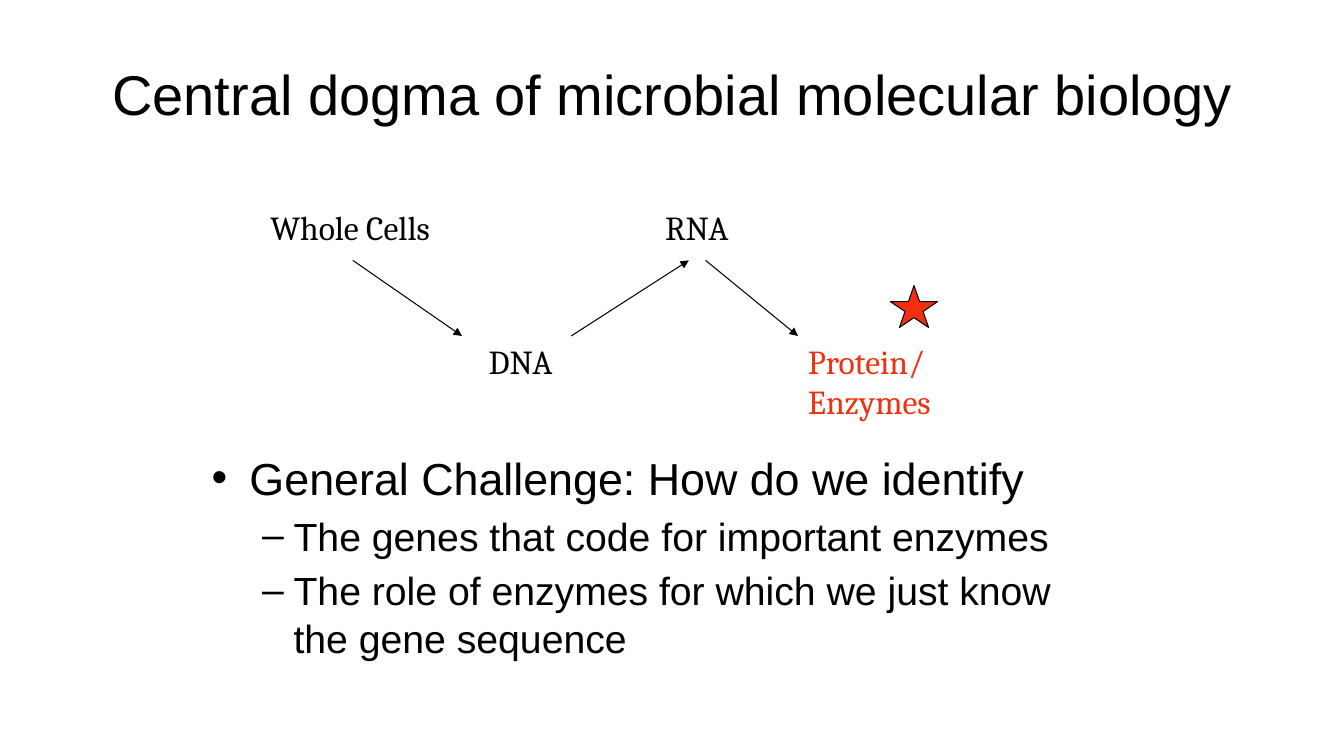
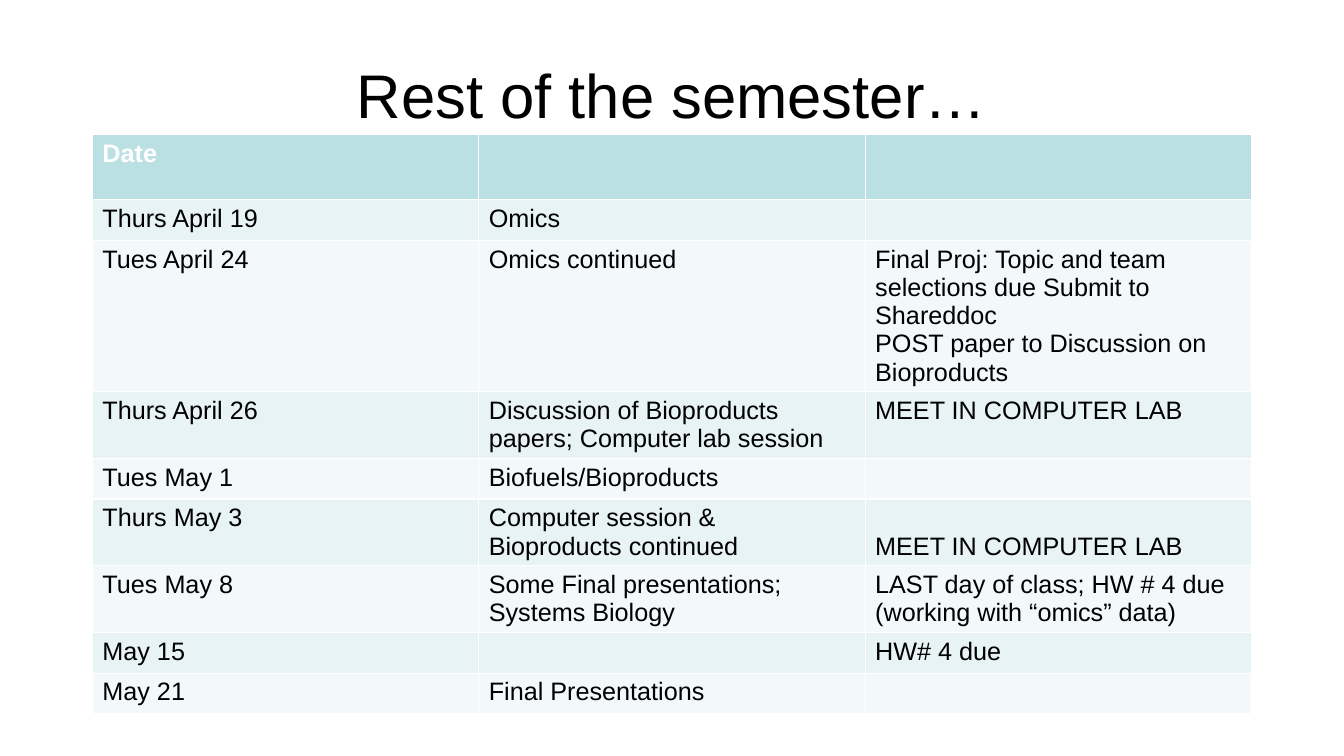
from dataclasses import dataclass

from lxml import etree
from pptx import Presentation
from pptx import util as u
from pptx.dml.color import RGBColor
from pptx.enum import shapes, text
from pptx.oxml import ns


@dataclass(frozen=True)
class Theme:
    """Colours, fonts and type sizes shared by the slides."""

    ink: str = "000000"
    paper: str = "FFFFFF"
    accent: str = "F23010"
    header: str = "BBE0E3"
    bands: tuple = ("E7F3F4", "F3F9FA")
    sans: str = "Arial"
    serif: str = "Cambria"
    title: int = 44
    long_title: int = 40
    bullets: tuple = (32, 28)
    label: int = 24
    cell: int = 18
    hairline: float = 0.75


THEME = Theme()
TITLE_BOX = (64, 29, 1152, 120)
DIAGRAM_BOX = (248, 192, 752, 200)
BULLET_BOX = (192, 424, 864, 280)
TABLE_BOX = (88, 128, 1104, 374)

BULLETS = [
    (0, "General Challenge: How do we identify"),
    (1, "The genes that code for important enzymes"),
    (1, "The role of enzymes for which we just know the gene sequence"),
]
SCHEDULE = [
    ("Date", "", ""),
    ("Thurs April 19", "Omics", ""),
    ("Tues April 24", "Omics continued",
     "Final Proj: Topic and team selections due Submit to Shareddoc\n"
     "POST paper to Discussion on Bioproducts"),
    ("Thurs April 26", "Discussion of Bioproducts papers; Computer lab session",
     "MEET IN COMPUTER LAB"),
    ("Tues May 1", "Biofuels/Bioproducts", ""),
    ("Thurs May 3", "Computer session & Bioproducts continued", "MEET IN COMPUTER LAB"),
    ("Tues May 8", "Some Final presentations; Systems Biology",
     "LAST day of class; HW # 4 due (working with “omics” data)"),
    ("May 15", "", "HW# 4 due"),
    ("May 21", "Final Presentations", ""),
]
LOW_CELL = (5, 2)


def px(n):
    """Turn pixels at 96 to the inch into EMU."""
    return u.Emu(n * 9525)


def rgb(value):
    """Make a colour from its hex value."""
    return RGBColor.from_string(value)


def move(sp, box):
    """Place a shape in a box of pixels."""
    sp.left, sp.top, sp.width, sp.height = map(px, box)


def write(p, content, size=THEME.cell, font=THEME.sans, color=THEME.ink, bold=False):
    """Add a formatted run to a paragraph."""
    r = p.add_run()
    r.text = content
    r.font.size, r.font.name, r.font.bold = u.Pt(size), font, bold
    r.font.color.rgb = rgb(color)


def add_title(slide, content, size=THEME.title):
    """Fill the title placeholder."""
    sp = slide.shapes.title
    move(sp, TITLE_BOX)
    tf = sp.text_frame
    tf.auto_size = text.MSO_AUTO_SIZE.NONE
    tf.vertical_anchor = text.MSO_ANCHOR.MIDDLE
    tf.paragraphs[0].alignment = text.PP_ALIGN.CENTER
    write(tf.paragraphs[0], content, size=size)


def add_label(slide, content, box, color=THEME.ink, wrap=False):
    """Add one serif label of the diagram."""
    sp = slide.shapes.add_textbox(*map(px, box))
    sp.text_frame.word_wrap = wrap
    write(sp.text_frame.paragraphs[0], content, size=THEME.label,
          font=THEME.serif, color=color)


def add_arrow(slide, start, end):
    """Draw a thin arrow between two points."""
    line = slide.shapes.add_connector(shapes.MSO_CONNECTOR.STRAIGHT,
                                      *map(px, (*start, *end)))
    line.line.color.rgb = rgb(THEME.ink)
    line.line.width = u.Pt(THEME.hairline)
    ln = line.line._get_or_add_ln()
    etree.SubElement(ln, ns.qn("a:tailEnd"), type="triangle")
    etree.SubElement(line._element.spPr, ns.qn("a:effectLst"))


def add_star(slide, box):
    """Draw the star that marks the enzymes."""
    star = slide.shapes.add_shape(shapes.MSO_SHAPE.STAR_5_POINT, *map(px, box))
    star.shadow.inherit = False
    star.fill.solid()
    star.fill.fore_color.rgb = rgb(THEME.accent)
    star.line.color.rgb = rgb(THEME.ink)
    star.line.width = u.Pt(THEME.hairline)


def add_dogma(slide, box):
    """Draw the zigzag from whole cells to enzymes."""
    x, y = box[:2]
    low = y + 128
    tail = y + 56
    add_star(slide, (x + 600, y + 80, 45, 40))
    add_label(slide, "Whole Cells", (x, y, 179, 48))
    add_label(slide, "DNA", (x + 208, low, 89, 48))
    add_label(slide, "RNA", (x + 376, y, 87, 48))
    add_label(slide, "Protein/Enzymes", (x + 512, low, 240, 48),
              color=THEME.accent, wrap=True)
    add_arrow(slide, (x + 88, tail), (x + 192, low))
    add_arrow(slide, (x + 296, low), (x + 408, tail))
    add_arrow(slide, (x + 424, tail), (x + 512, low))


def add_bullets(slide, box, items):
    """Fill the body placeholder with a two-level list."""
    sp = slide.placeholders[1]
    move(sp, box)
    tf = sp.text_frame
    tf.auto_size = text.MSO_AUTO_SIZE.NONE
    for i, (level, content) in enumerate(items):
        p = tf.add_paragraph() if i else tf.paragraphs[0]
        size = THEME.bullets[level]
        p.level = level
        p.space_before = u.Pt(size * 0.2 if i else 0)
        write(p, content, size=size)


def add_schedule(slide, box, rows):
    """Add the banded table of dates."""
    table = slide.shapes.add_table(len(rows), len(rows[0]), *map(px, box)).table
    for i, row in enumerate(rows):
        head = i == 0
        table.rows[i].height = px(62 if head else 39)
        fill = THEME.header if head else THEME.bands[(i - 1) % 2]
        for j, content in enumerate(row):
            cell = table.cell(i, j)
            cell.fill.solid()
            cell.fill.fore_color.rgb = rgb(fill)
            if (i, j) == LOW_CELL:
                cell.vertical_anchor = text.MSO_ANCHOR.BOTTOM
            tf = cell.text_frame
            for k, part in enumerate(content.split("\n") if content else []):
                p = tf.add_paragraph() if k else tf.paragraphs[0]
                write(p, part, color=THEME.paper if head else THEME.ink, bold=head)


def dogma_slide(prs):
    """Build the slide with the diagram and list."""
    s = prs.slides.add_slide(prs.slide_layouts[1])
    add_title(s, "Central dogma of microbial molecular biology", THEME.long_title)
    add_dogma(s, DIAGRAM_BOX)
    add_bullets(s, BULLET_BOX, BULLETS)


def schedule_slide(prs):
    """Build the slide with the table of dates."""
    s = prs.slides.add_slide(prs.slide_layouts[5])
    add_title(s, "Rest of the semester…")
    add_schedule(s, TABLE_BOX, SCHEDULE)


def main():
    """Build and save the presentation."""
    prs = Presentation()
    prs.slide_width, prs.slide_height = px(1280), px(720)
    dogma_slide(prs)
    schedule_slide(prs)
    prs.save("out.pptx")


if __name__ == "__main__":
    main()
